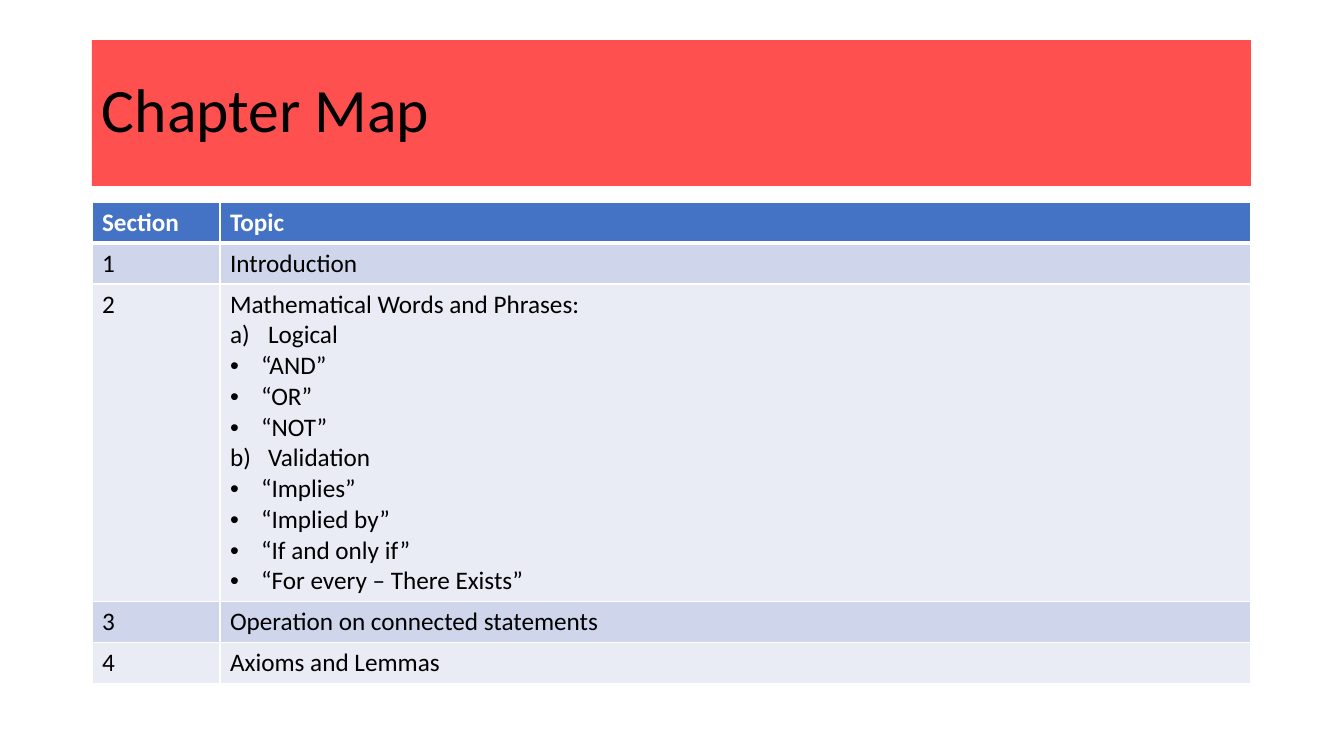
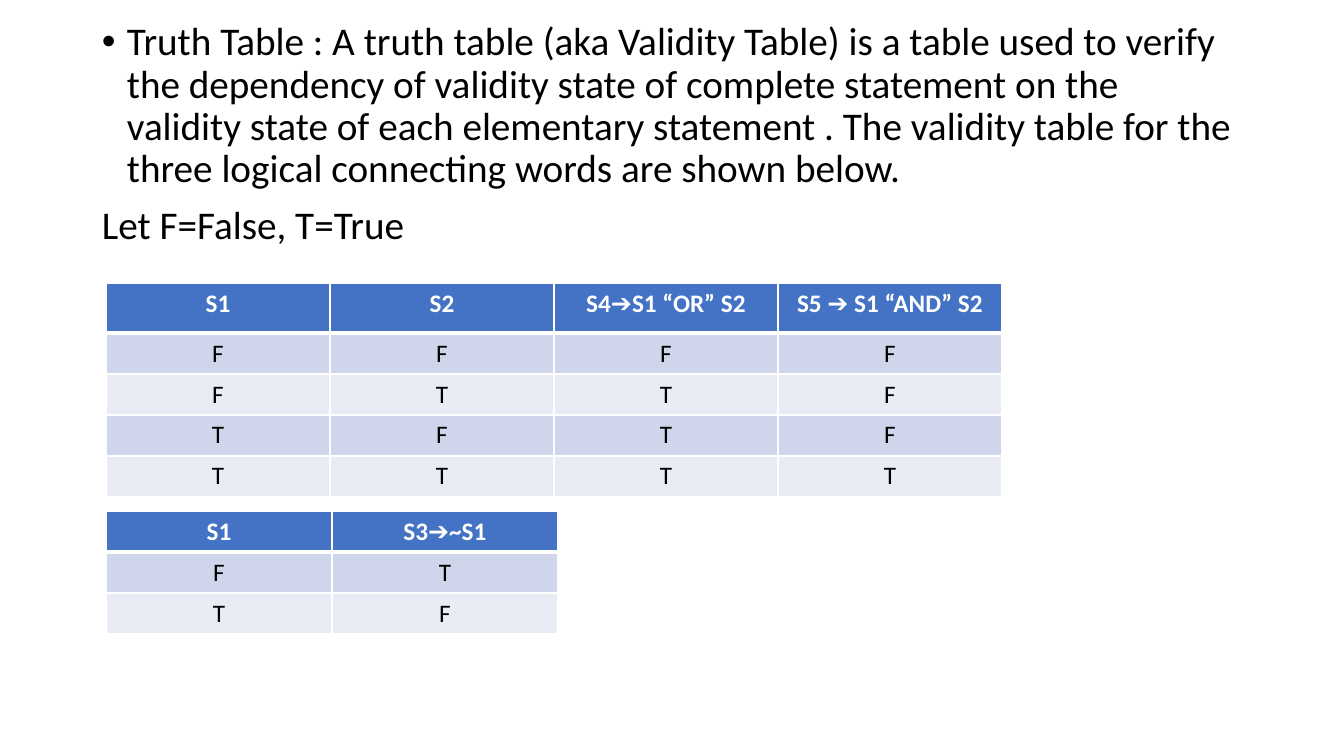
"""Build a chapter map slide and a truth table slide."""
from dataclasses import dataclass, field
from typing import Any

from lxml import etree
from pptx import Presentation
from pptx.dml.color import RGBColor
from pptx.enum.shapes import MSO_SHAPE
from pptx.enum.text import MSO_ANCHOR, PP_ALIGN
from pptx.oxml.ns import qn
from pptx.slide import Slide
from pptx.table import _Cell
from pptx.text.text import TextFrame, _Paragraph
from pptx.util import Emu, Pt

EMU_PER_PIXEL = 914400 / 100.8


@dataclass(frozen=True)
class Theme:
    font: str = "Calibri"
    bullet_font: str = "Arial"
    text: str = "000000"
    title_fill: str = "FF5050"
    header_fill: str = "4472C4"
    header_text: str = "FFFFFF"
    border: str = "FFFFFF"
    bands: tuple[str, str] = ("CFD5EA", "E9EBF5")
    title_size: int = 44
    body_size: int = 28
    table_size: int = 18
    border_width: int = 1
    header_rule_width: int = 3


THEME = Theme()


@dataclass(frozen=True)
class Box:
    left: int
    top: int
    width: int
    height: int

    def emu(self) -> tuple[Emu, ...]:
        return tuple(map(pixels, (self.left, self.top, self.width, self.height)))


@dataclass(frozen=True)
class Line:
    text: str
    bullet: str = ""
    indent: int = 0
    start: int = 0


@dataclass(frozen=True)
class TextStyle:
    size: int
    color: str = THEME.text
    bold: bool = False
    paragraph_format: dict[str, Any] = field(default_factory=dict)


@dataclass(frozen=True)
class Grid:
    left: int
    top: int
    columns: list[int]
    rows: list[int]
    cells: list[list[str | list[Line]]]
    alignment: PP_ALIGN = PP_ALIGN.LEFT


def pixels(count: int) -> Emu:
    return Emu(round(count * EMU_PER_PIXEL))


def apply_format(target: Any, values: dict[str, Any]) -> None:
    for name, value in values.items():
        setattr(target, name, value)


def add_bullet(paragraph: _Paragraph, line: Line) -> None:
    properties = paragraph._p.get_or_add_pPr()
    indent = pixels(line.indent)
    properties.set("marL", str(indent))
    properties.set("indent", str(-indent))
    if line.start:
        numbering = etree.SubElement(properties, qn("a:buFont"))
        numbering.set("typeface", "+mj-lt")
        bullet = etree.SubElement(properties, qn("a:buAutoNum"))
        bullet.set("type", line.bullet)
        if line.start > 1:
            bullet.set("startAt", str(line.start))
    else:
        etree.SubElement(properties, qn("a:buFont")).set("typeface", THEME.bullet_font)
        etree.SubElement(properties, qn("a:buChar")).set("char", line.bullet)


def write_lines(frame: TextFrame, lines: list[Line], style: TextStyle) -> None:
    frame.word_wrap = True
    for index, line in enumerate(lines):
        paragraph = frame.add_paragraph() if index else frame.paragraphs[0]
        apply_format(paragraph, style.paragraph_format)
        if line.bullet:
            add_bullet(paragraph, line)
        run = paragraph.add_run()
        run.text = line.text
        apply_format(run.font, {"name": THEME.font, "size": Pt(style.size), "bold": style.bold})
        run.font.color.rgb = RGBColor.from_string(style.color)


def add_title(slide: Slide, title: str, box: Box) -> None:
    shape = slide.shapes.add_shape(MSO_SHAPE.RECTANGLE, *box.emu())
    shape.shadow.inherit = False
    shape.fill.solid()
    shape.fill.fore_color.rgb = RGBColor.from_string(THEME.title_fill)
    shape.line.fill.background()
    shape.text_frame.vertical_anchor = MSO_ANCHOR.MIDDLE
    layout = {"alignment": PP_ALIGN.LEFT, "line_spacing": 0.9}
    write_lines(shape.text_frame, [Line(title)],
                TextStyle(THEME.title_size, paragraph_format=layout))


def add_body(slide: Slide, lines: list[Line], box: Box) -> None:
    text_box = slide.shapes.add_textbox(*box.emu())
    layout = {"line_spacing": 0.9, "space_before": Pt(10)}
    write_lines(text_box.text_frame, lines,
                TextStyle(THEME.body_size, paragraph_format=layout))


def style_cell(cell: _Cell, row: int) -> None:
    properties = cell._tc.get_or_add_tcPr()
    heavy_edge = {0: "lnB", 1: "lnT"}.get(row)
    for edge in ("lnL", "lnR", "lnT", "lnB"):
        width = THEME.header_rule_width if edge == heavy_edge else THEME.border_width
        border = etree.SubElement(properties, qn(f"a:{edge}"))
        border.set("w", str(Pt(width)))
        fill = etree.SubElement(border, qn("a:solidFill"))
        etree.SubElement(fill, qn("a:srgbClr")).set("val", THEME.border)
    color = THEME.bands[(row - 1) % 2] if row else THEME.header_fill
    cell.fill.solid()
    cell.fill.fore_color.rgb = RGBColor.from_string(color)


def add_grid(slide: Slide, grid: Grid) -> None:
    box = Box(grid.left, grid.top, sum(grid.columns), sum(grid.rows))
    table = slide.shapes.add_table(len(grid.rows), len(grid.columns), *box.emu()).table
    for column, width in zip(table.columns, grid.columns):
        column.width = pixels(width)
    layout = {"alignment": grid.alignment}
    header = TextStyle(THEME.table_size, THEME.header_text, True, layout)
    content = TextStyle(THEME.table_size, paragraph_format=layout)
    for row, (height, values) in enumerate(zip(grid.rows, grid.cells)):
        table.rows[row].height = pixels(height)
        for column, value in enumerate(values):
            cell = table.cell(row, column)
            style_cell(cell, row)
            lines = [Line(value)] if isinstance(value, str) else value
            write_lines(cell.text_frame, lines, content if row else header)


def quoted(words: list[str]) -> list[Line]:
    return [Line(f"“{word}”", "•", 31) for word in words]


def build_chapter_map(slide: Slide) -> None:
    add_title(slide, "Chapter Map", Box(92, 40, 1159, 146))
    phrases = [
        Line("Mathematical Words and Phrases:"),
        Line("Logical", "alphaLcParenR", 38, 1),
        *quoted(["AND", "OR", "NOT"]),
        Line("Validation", "alphaLcParenR", 38, 2),
        *quoted(["Implies", "Implied by", "If and only if", "For every – There Exists"]),
    ]
    topics = ["Introduction", phrases, "Operation on connected statements", "Axioms and Lemmas"]
    cells = [["Section", "Topic"]]
    cells += [[str(number), topic] for number, topic in enumerate(topics, 1)]
    add_grid(slide, Grid(92, 202, [128, 1031], [41, 41, 312, 41, 41], cells))


def build_truth_tables(slide: Slide) -> None:
    definition = (
        "Truth Table : A truth table (aka Validity Table) is a table used to verify the "
        "dependency of validity state of complete statement on the validity state of each "
        "elementary statement . The validity table for the three logical connecting words "
        "are shown below."
    )
    add_body(slide, [Line(definition, "•", 25), Line("Let F=False, T=True")],
             Box(92, 17, 1159, 696))
    connectives = [["S1", "S2", "S4➔S1 “OR” S2", "S5 ➔ S1 “AND” S2"]]
    connectives += [list(values) for values in ("FFFF", "FTTF", "TFTF", "TTTT")]
    negation = [["S1", "S3➔~S1"], ["F", "T"], ["T", "F"]]
    for grid in (
        Grid(106, 283, [224] * 4, [50] + [41] * 4, connectives, PP_ALIGN.CENTER),
        Grid(106, 511, [226] * 2, [41] * 3, negation, PP_ALIGN.CENTER),
    ):
        add_grid(slide, grid)


def main() -> None:
    presentation = Presentation()
    apply_format(presentation, {"slide_width": pixels(1344), "slide_height": pixels(756)})
    for build in (build_chapter_map, build_truth_tables):
        build(presentation.slides.add_slide(presentation.slide_layouts[6]))
    presentation.save("out.pptx")


main()
